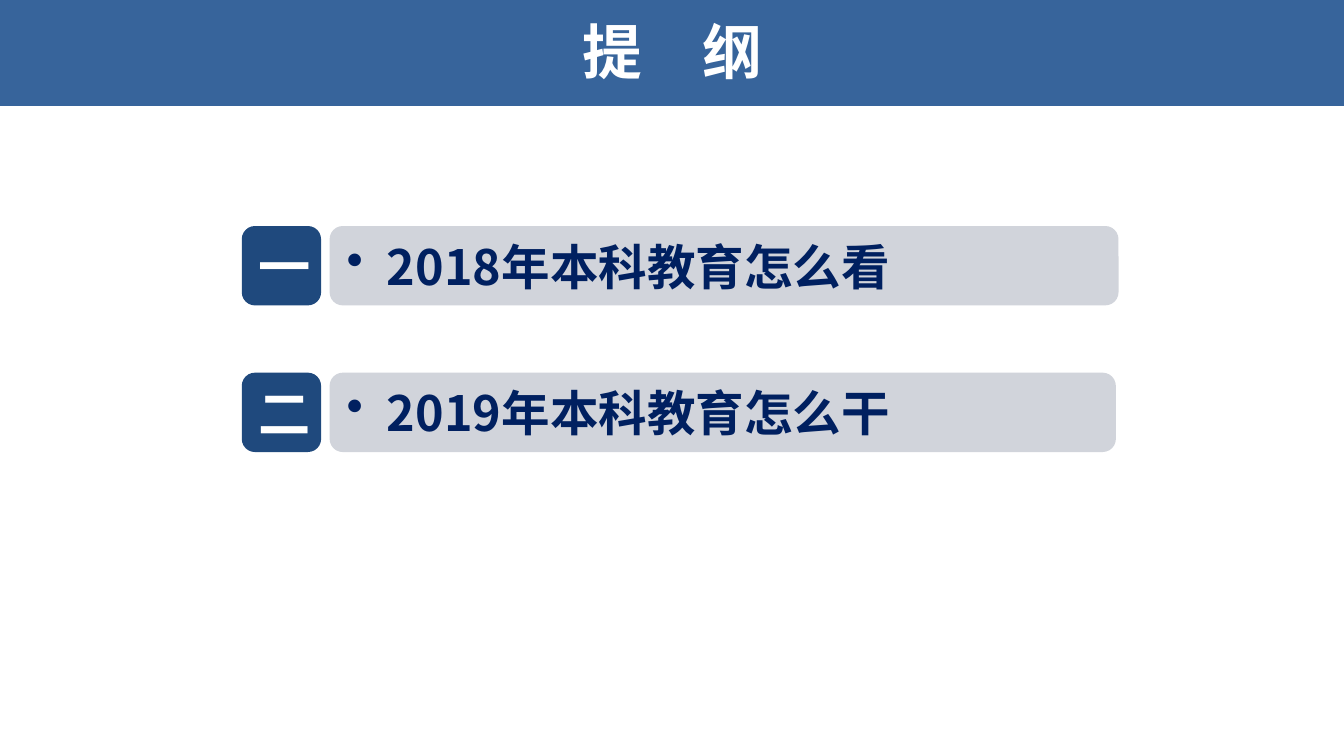
from lxml import etree
from pptx import Presentation
from pptx import util as u
from pptx.dml.color import RGBColor
from pptx.enum import shapes, text
from pptx.oxml import ns

FONT = "Noto Sans CJK SC"
COLORS = {
    "band": "37649B",
    "number": "1F497D",
    "topic": "D1D4DB",
    "navy": "002060",
    "white": "FFFFFF",
}
TOPICS = [
    ("一", "2018年本科教育怎么看", 14.91),
    ("二", "2019年本科教育怎么干", 14.86),
]
TOP, STEP, HEIGHT = 4.27, 2.77, 1.5
NUMBER_LEFT, TOPIC_LEFT = 4.57, 6.23
HANG = u.Cm(0.76)


def add_block(page, shape_type, left, top, width, height, color):
    block = page.shapes.add_shape(
        shape_type, u.Cm(left), u.Cm(top), u.Cm(width), u.Cm(height)
    )
    block.shadow.inherit = False
    block.fill.solid()
    block.fill.fore_color.rgb = RGBColor.from_string(COLORS[color])
    block.line.fill.background()
    return block


def add_bullet(para):
    props = para._p.get_or_add_pPr()
    props.set("marL", str(HANG))
    props.set("indent", str(-HANG))
    etree.SubElement(props, ns.qn("a:buChar")).set("char", "•")


def write(box, words, size, color, align):
    frame = box.text_frame
    frame.word_wrap = True
    frame.auto_size = text.MSO_AUTO_SIZE.NONE
    frame.vertical_anchor = text.MSO_ANCHOR.MIDDLE
    para = frame.paragraphs[0]
    para.alignment = align
    span = para.add_run()
    span.text = words
    span.font.size = u.Pt(size)
    span.font.bold = True
    span.font.color.rgb = RGBColor.from_string(COLORS[color])
    span.font.name = FONT
    east = etree.SubElement(span._r.get_or_add_rPr(), ns.qn("a:ea"))
    east.set("typeface", FONT)
    return para


def add_heading(page, words):
    add_block(page, shapes.MSO_SHAPE.RECTANGLE, 0, 0, 25.4, 2, "band")
    title = page.shapes.title
    title.left, title.top = u.Cm(3.18), u.Cm(-0.03)
    title.width, title.height = u.Cm(19.05), u.Cm(1.98)
    write(title, words, 32, "white", text.PP_ALIGN.CENTER)
    page.shapes.element.append(title.element)


def add_topic(page, top, number, words, width):
    rounded = shapes.MSO_SHAPE.ROUNDED_RECTANGLE
    badge = add_block(page, rounded, NUMBER_LEFT, top, HEIGHT, HEIGHT, "number")
    write(badge, number, 28, "white", text.PP_ALIGN.CENTER)
    bar = add_block(page, rounded, TOPIC_LEFT, top, width, HEIGHT, "topic")
    para = write(bar, words, 26, "navy", text.PP_ALIGN.LEFT)
    add_bullet(para)


def main():
    deck = Presentation()
    deck.slide_width, deck.slide_height = u.Cm(25.4), u.Cm(14.28)
    page = deck.slides.add_slide(deck.slide_layouts.get_by_name("Title Only"))
    for index, (number, words, width) in enumerate(TOPICS):
        add_topic(page, TOP + index * STEP, number, words, width)
    add_heading(page, "提　纲")
    deck.save("out.pptx")


if __name__ == "__main__":
    main()
